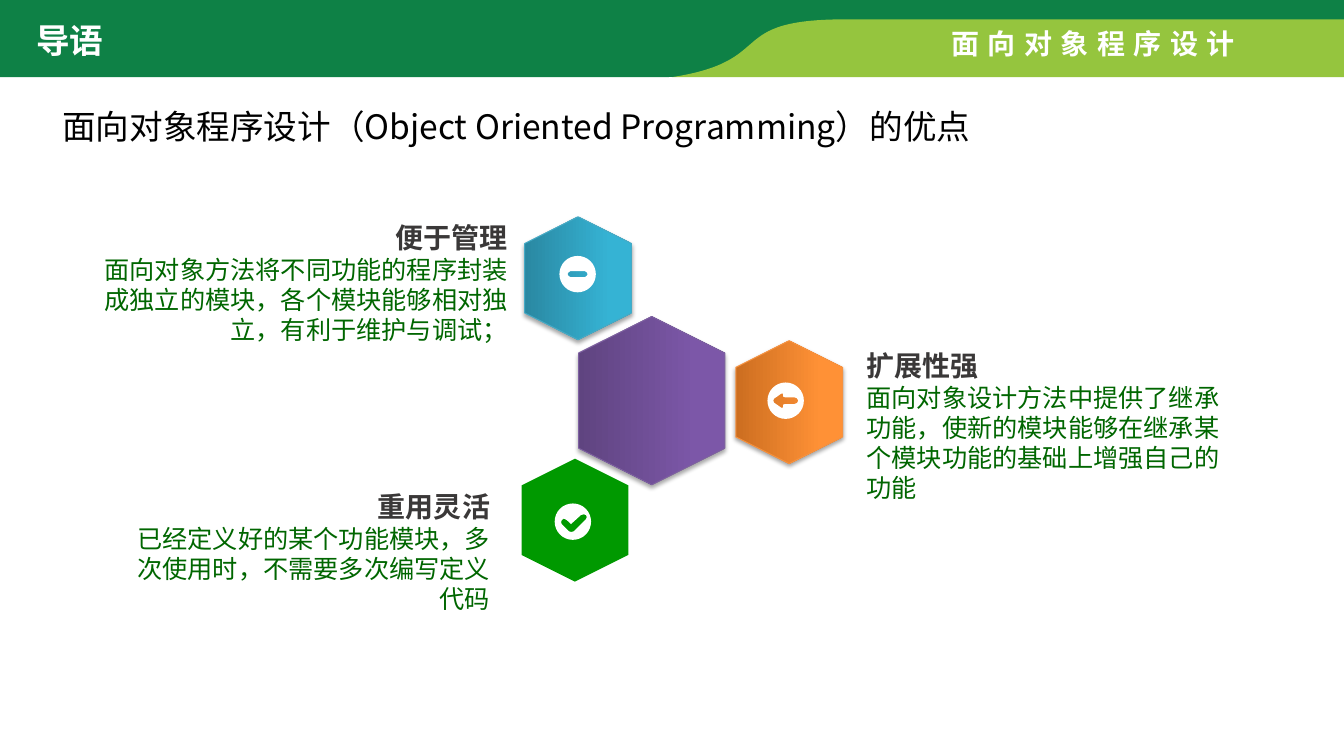
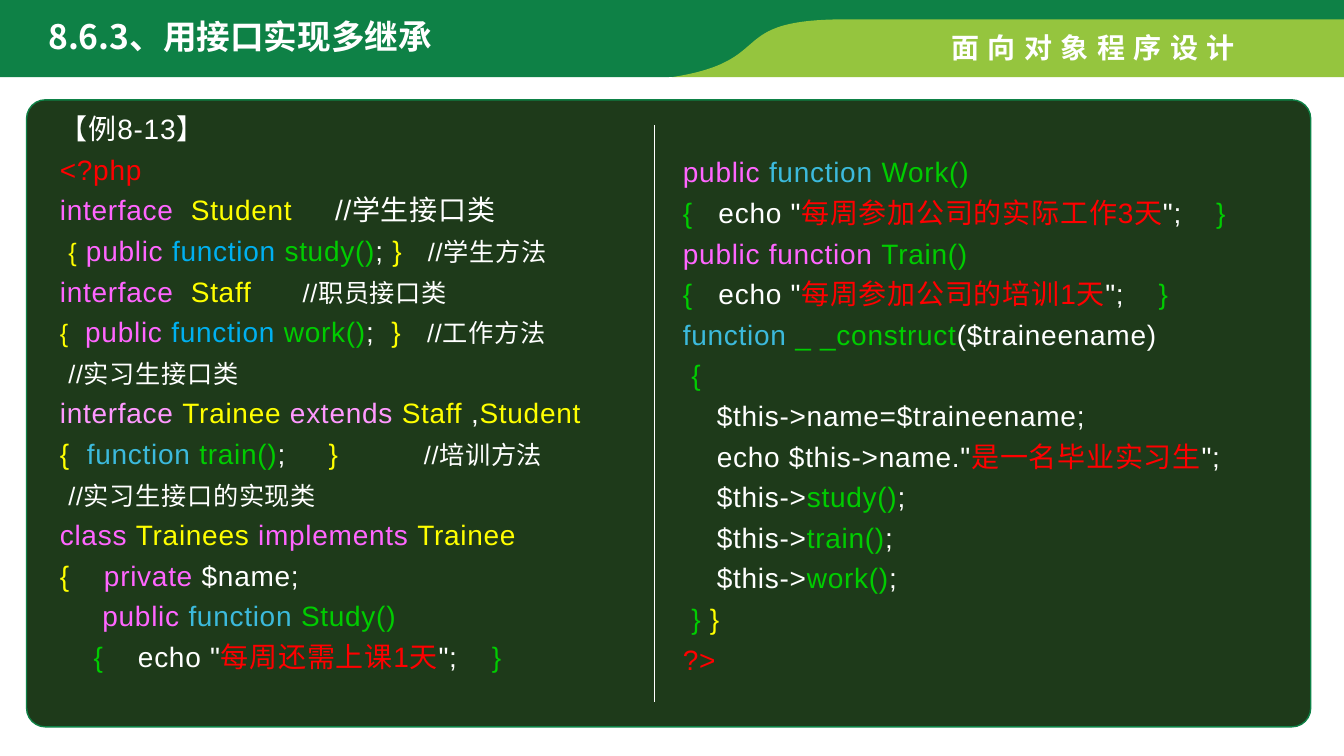
import pptx
import pptx.dml.color
import pptx.enum.shapes
import pptx.enum.text
import pptx.oxml
import pptx.oxml.ns
import pptx.util

Pt = pptx.util.Pt
qn = pptx.oxml.ns.qn
SHAPES = pptx.enum.shapes.MSO_SHAPE
ALIGN = pptx.enum.text.PP_ALIGN
LATIN, CJK, HEADING = "Arial", "Noto Sans CJK SC", "Calibri"
NAMESPACE = pptx.oxml.ns.nsdecls("a")

HEX = {
    "band": "0E8146", "lime": "95C53E", "white": "FFFFFF", "black": "000000",
    "heading": "3A3838", "body": "006600", "leaf": "009900", "panel": "1E3A1A",
    "red": "FF0000", "pink": "FF66FF", "rose": "FF99FF", "yellow": "FFFF00",
    "blue": "00B0F0", "sky": "3CBADC", "green": "00CC00",
    "purple_dark": "5F4480", "purple_light": "7C57A8", "purple_line": "7D60A0",
    "orange_dark": "CC6E20", "orange_light": "FF9136", "orange_line": "F69240",
    "teal_dark": "2A88A2", "teal_light": "35B3D4", "teal_line": "46AAC5",
}
COLOURS = {name: pptx.dml.color.RGBColor.from_string(value) for name, value in HEX.items()}


def add_outline(slide, contours, colour):
    builder = None
    for contour in contours:
        points = [(Pt(segment[i]), Pt(segment[i + 1]))
                  for segment in contour for i in range(0, len(segment), 2)]
        if builder is None:
            builder = slide.shapes.build_freeform(*points[0])
        else:
            builder.move_to(*points[0])
        builder.add_line_segments(points[1:], close=True)
    shape = builder.convert_to_shape()
    lines = iter(list(shape.element.iter(qn("a:lnTo"))))
    for contour in contours:
        for segment in contour[1:]:
            first = next(lines)
            if len(segment) == 6:
                curve = pptx.oxml.parse_xml(f"<a:cubicBezTo {NAMESPACE}/>")
                first.addprevious(curve)
                for line in (first, next(lines), next(lines)):
                    curve.append(line[0])
                    line.getparent().remove(line)
    shape.shadow.inherit = False
    shape.fill.solid()
    shape.fill.fore_color.rgb = COLOURS[colour]
    shape.line.fill.background()


def add_text(slide, box, paragraphs, size, font=CJK, bold=False, spacing=0,
             wrap=True, grow=True, inset=(7.2, 3.6), align=ALIGN.LEFT, pitch=None):
    shape = slide.shapes.add_textbox(*[Pt(length) for length in box])
    frame = shape.text_frame
    frame.word_wrap = wrap
    if grow:
        frame.auto_size = pptx.enum.text.MSO_AUTO_SIZE.SHAPE_TO_FIT_TEXT
    frame.margin_left = frame.margin_right = Pt(inset[0])
    frame.margin_top = frame.margin_bottom = Pt(inset[1])
    for index, runs in enumerate(paragraphs):
        paragraph = frame.paragraphs[0] if index == 0 else frame.add_paragraph()
        paragraph.alignment = align
        if pitch:
            paragraph.line_spacing = Pt(pitch)
        for text, colour, *special in runs:
            run_size, run_font, run_bold = special + [size, font, bold][len(special):]
            run = paragraph.add_run()
            run.text = text
            run.font.size = Pt(run_size)
            run.font.name = run_font
            run.font.bold = run_bold
            run.font.color.rgb = COLOURS[colour]
            if spacing:
                run._r.get_or_add_rPr().set("spc", str(int(spacing * 100)))


presentation = pptx.Presentation()
presentation.slide_width = Pt(960)
presentation.slide_height = Pt(540)

BAND = [(0, -2), (960, -2), (960, 17.3), (595.4, 17.3), (582.5, 20.2),
        (523.4, 31.7, 554.4, 55.1, 471.6, 55.1), (0, 55.1)]
SWOOSH = [(604, 13.8), (960, 13.8), (960, 55.1), (480, 55.1),
          (556.6, 43.2, 516.2, 13.8, 604, 13.8)]
headers = [
    ("导语", (18.9, 10.8, 336, 36), 15.1),
    ("8.6.3、用接口实现多继承", (27.4, 7.9, 381.6, 36), 18),
]
slides = []
for title, title_box, course_top in headers:
    slide = presentation.slides.add_slide(presentation.slide_layouts[6])
    add_outline(slide, [BAND], "band")
    add_outline(slide, [SWOOSH], "lime")
    add_text(slide, (672.5, course_top, 224.6, 31.7), [[("面向对象程序设计", "white")]],
             20, LATIN, bold=True, spacing=6, wrap=False)
    add_text(slide, title_box, [[(title, "white")]], 24, bold=True)
    slides.append(slide)
benefits_slide, code_slide = slides

CHECK = [(9.4, -1.8), (0.7, 6.9), (0, 7.6, -2.2, 7.6, -2.9, 6.9), (-7.9, 1.8),
         (-8.6, 1.1, -8.6, -0.4, -7.9, -1.1), (-7.2, -2.5, -5.8, -2.5, -4.3, -1.1),
         (-1.4, 1.8), (5.8, -4.7), (7.2, -5.4, 8.6, -5.4, 9.4, -4.7),
         (10.1, -4, 10.1, -2.5, 9.4, -1.8)]
ARROW = [(6.1, 2.4), (-0.4, 2.4), (-1.8, 2.9), (-1.8, 4.3),
         (-1.8, 5, -2.5, 5.8, -3.2, 5), (-8.3, 1.4), (-9, 0.4, -9, -0.4, -8.3, -1.4),
         (-3.2, -5), (-2.5, -5.8, -1.8, -5, -1.8, -4.3), (-1.8, -2.9), (-0.4, -2.4),
         (6.1, -2.4), (7.6, -2.4, 9, -1.4, 9, 0), (9, 1.4, 7.6, 2.4, 6.1, 2.4)]
MINUS = [(5, 2.2), (-5, 2.2), (-5.8, 2.2, -7.2, 0.7, -7.2, 0),
         (-7.2, -0.7, -5.8, -2.2, -5, -2.2), (5, -2.2),
         (5.8, -2.2, 7.2, -0.7, 7.2, 0), (7.2, 0.7, 5.8, 2.2, 5, 2.2)]
DISC = [(0, -13), (-7.2, -13, -13, -7.2, -13, 0), (-13, 7.2, -7.2, 13, 0, 13),
        (7.2, 13, 13, 7.2, 13, 0), (13, -7.2, 7.2, -13, 0, -13)]
hexagons = [
    ((405.4, 234, 120.2, 104.4), "purple", None, None),
    ((366.8, 333.4, 87.8, 76.3), None, (409.2, 372.6), CHECK),
    ((519.8, 249.1, 87.8, 76.3), "orange", (561.2, 286.2), ARROW),
    ((369, 160.6, 87.8, 76.3), "teal", (412.6, 195.8), MINUS),
]
for box, hue, centre, mark in hexagons:
    shape = benefits_slide.shapes.add_shape(SHAPES.HEXAGON, *[Pt(length) for length in box])
    shape.rotation = 90
    shape.shadow.inherit = False
    if hue:
        shape.fill.gradient()
        shape.fill.gradient_angle = 90
        for stop, tone, position in zip(shape.fill.gradient_stops, ("dark", "light"), (0, 0.8)):
            stop.color.rgb = COLOURS[f"{hue}_{tone}"]
            stop.position = position
        shape.line.color.rgb = COLOURS[f"{hue}_line"]
        shape.line.width = Pt(0.75)
        effects = shape.element.spPr.find(qn("a:effectLst"))
        effects.append(pptx.oxml.parse_xml(
            f'<a:outerShdw {NAMESPACE} blurRad="{Pt(3.1)}" dist="{Pt(1.8)}" '
            f'dir="5400000" rotWithShape="0"><a:srgbClr val="{HEX["black"]}">'
            '<a:alpha val="35000"/></a:srgbClr></a:outerShdw>'))
    else:
        shape.fill.solid()
        shape.fill.fore_color.rgb = COLOURS["leaf"]
        shape.line.fill.background()
    if mark:
        contours = [[[value + centre[axis % 2] for axis, value in enumerate(segment)]
                     for segment in contour] for contour in (DISC, mark)]
        add_outline(benefits_slide, contours, "white")

benefits = [
    ((48.2, 152.6, 324, 99.4), ALIGN.RIGHT, HEADING, "便于管理",
     "面向对象方法将不同功能的程序封装成独立的模块，各个模块能够相对独立，有利于维护与调试；"),
    ((76.7, 344.9, 283, 99.4), ALIGN.RIGHT, LATIN, "重用灵活",
     "已经定义好的某个功能模块，多次使用时，不需要多次编写定义代码"),
    ((609.4, 244.1, 283, 121), ALIGN.LEFT, CJK, "扩展性强",
     "面向对象设计方法中提供了继承功能，使新的模块能够在继承某个模块功能的基础上增强自己的功能"),
]
for box, align, heading_font, heading, body in benefits:
    add_text(benefits_slide, box,
             [[(heading, "heading", 20, heading_font, True)], [(body, "body")]],
             18, inset=(9.6, 4.8), align=align)
add_text(benefits_slide, (37.4, 72, 719.3, 36),
         [[("面向对象程序设计（Object Oriented Programming）的优点", "black")]], 24)

panel = code_slide.shapes.add_shape(SHAPES.ROUNDED_RECTANGLE, Pt(19), Pt(71.3), Pt(917.3), Pt(447.9))
panel.adjustments[0] = 0.03
panel.shadow.inherit = False
panel.fill.solid()
panel.fill.fore_color.rgb = COLOURS["panel"]
panel.line.color.rgb = COLOURS["band"]
panel.line.width = Pt(1)

interface_code = [
    [("【例8-13】", "white")],
    [("<?php", "red")],
    [("interface  ", "pink"), ("Student  ", "yellow"), ("   //学生接口类", "white")],
    [(" ", "white"), ("{", "yellow", 18), (" ", "white"), ("public ", "pink"), ("function ", "blue"),
     ("study()", "green"), ("; ", "white"), ("}   ", "yellow"), ("//学生方法", "white", 18)],
    [("interface  ", "pink"), ("Staff      ", "yellow"), ("//职员接口类", "white", 18)],
    [("{ ", "yellow", 18), (" public ", "pink"), ("function ", "blue"), ("work()", "green"),
     ("; ", "white"), (" }   ", "yellow"), ("//工作方法", "white", 18)],
    [(" ", "blue"), ("//实习生接口类", "white", 18)],
    [("interface ", "rose"), ("Trainee ", "yellow"), ("extends ", "rose"), ("Staff ", "yellow"),
     (",", "white"), ("Student", "yellow")],
    [("{", "yellow"), ("  function ", "sky"), ("train()", "green"), (";     ", "white"),
     ("}          ", "yellow"), ("//培训方法", "white", 18)],
    [(" ", "pink"), ("//实习生接口的实现类", "white", 18)],
    [("class ", "pink"), ("Trainees ", "yellow"), ("implements ", "pink"), ("Trainee", "yellow")],
    [("{    ", "yellow"), ("private ", "pink"), ("$name;", "white")],
    [("     ", "white"), ("public ", "pink"), ("function ", "sky"), ("Study()", "green")],
    [("    {    ", "green"), ("echo \"", "white"), ("每周还需上课1天", "red"),
     ("\";    ", "white"), ("}", "green")],
]
class_code = [
    [("public ", "pink"), ("function ", "sky"), ("Work()", "green")],
    [("{   ", "green"), ("echo \"", "white"), ("每周参加公司的实际工作3天", "red"),
     ("\";    ", "white"), ("}", "green")],
    [("public function ", "pink"), ("Train()", "green")],
    [("{   ", "green"), ("echo \"", "white"), ("每周参加公司的培训1天", "red"),
     ("\";    ", "white"), ("}", "green")],
    [("function ", "sky"), ("_ _construct", "green"), ("($traineename)", "white")],
    [(" {", "green")],
    [("    $this->name=$traineename;", "white")],
    [("    echo $this->name.\"", "white"), ("是一名毕业实习生", "red"), ("\";", "white")],
    *[[("    $this->", "white"), (call, "green"), (";", "white")]
      for call in ("study()", "train()", "work()")],
    [(" ", "white"), ("} ", "green"), ("}", "yellow")],
    [("?>", "red")],
]
for box, code, grow in [((35.7, 71.3, 408.2, 430.6), interface_code, False),
                        ((480.7, 102.2, 442.8, 388), class_code, True)]:
    add_text(code_slide, box, code, 20, LATIN, spacing=0.5, grow=grow, pitch=29)

divider = code_slide.shapes.add_connector(
    pptx.enum.shapes.MSO_CONNECTOR.STRAIGHT, Pt(467.3), Pt(89.3), Pt(467.3), Pt(501.5))
divider.line.color.rgb = COLOURS["white"]
divider.line.width = Pt(0.75)
divider.element.spPr.append(pptx.oxml.parse_xml(f"<a:effectLst {NAMESPACE}/>"))

presentation.save("out.pptx")
